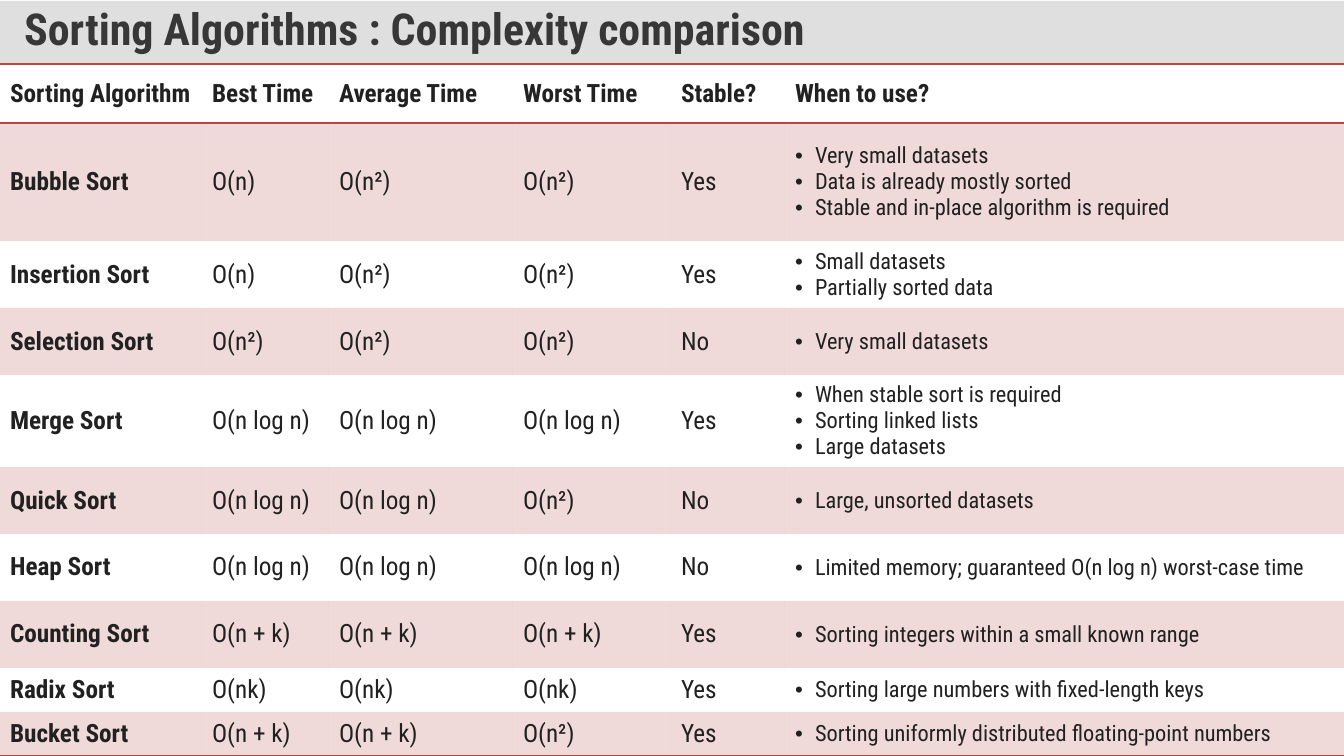
from lxml import etree
from pptx import Presentation
from pptx.dml.color import RGBColor
from pptx.enum.text import MSO_ANCHOR, MSO_AUTO_SIZE, PP_ALIGN
from pptx.oxml.ns import qn
from pptx.util import Pt

TITLE = "Sorting Algorithms : Complexity comparison"
HEADINGS = ("Sorting Algorithm", "Best Time", "Average Time", "Worst Time",
            "Stable?", "When to use?")
ALGORITHMS = [
    ("Bubble Sort", "O(n)", "O(n²)", "O(n²)", "Yes",
     ["Very small datasets", "Data is already mostly sorted",
      "Stable and in-place algorithm is required"]),
    ("Insertion Sort", "O(n)", "O(n²)", "O(n²)", "Yes",
     ["Small datasets", "Partially sorted data"]),
    ("Selection Sort", "O(n²)", "O(n²)", "O(n²)", "No",
     ["Very small datasets"]),
    ("Merge Sort", "O(n log n)", "O(n log n)", "O(n log n)", "Yes",
     ["When stable sort is required", "Sorting linked lists", "Large datasets"]),
    ("Quick Sort", "O(n log n)", "O(n log n)", "O(n²)", "No",
     ["Large, unsorted datasets"]),
    ("Heap Sort", "O(n log n)", "O(n log n)", "O(n log n)", "No",
     ["Limited memory; guaranteed O(n log n) worst-case time"]),
    ("Counting Sort", "O(n + k)", "O(n + k)", "O(n + k)", "Yes",
     ["Sorting integers within a small known range"]),
    ("Radix Sort", "O(nk)", "O(nk)", "O(nk)", "Yes",
     ["Sorting large numbers with fixed-length keys"]),
    ("Bucket Sort", "O(n + k)", "O(n + k)", "O(n²)", "Yes",
     ["Sorting uniformly distributed floating-point numbers"]),
]

SLIDE_WIDTH, SLIDE_HEIGHT = 1344, 756
TABLE_TOP = 64
COLUMN_WIDTHS = (202, 127, 184, 158, 114, 559)
ROW_HEIGHTS = (59, 118, 67, 67, 92, 67, 67, 67, 44, 44)
BULLET_INDENT = 20

FONT = "Roboto Condensed"
RED, INK, TITLE_INK, GREY = "B84742", "212121", "373737", "C0C0C0"
PLAIN_TABLE_STYLE = "{2D5ABB26-0587-4C30-8999-92F81FD0307C}"
TITLE_ONLY = 5
MIDDLE = MSO_ANCHOR.MIDDLE
LEFT = PP_ALIGN.LEFT
NO_AUTOFIT = MSO_AUTO_SIZE.NONE


def px(length):
    return round(length * 914400 / 100.8)


def color(hex_string):
    return RGBColor.from_string(hex_string)


def fill_translucent(item, hex_string, opacity, properties):
    """Fill a shape or cell; opacity is a percentage."""
    item.fill.solid()
    item.fill.fore_color.rgb = color(hex_string)
    srgb = properties.find(qn("a:solidFill")).find(qn("a:srgbClr"))
    etree.SubElement(srgb, qn("a:alpha"), val=str(opacity * 1000))


def add_border(cell_properties, side):
    line = etree.SubElement(cell_properties, qn(f"a:{side}"), w=str(Pt(1)))
    fill = etree.SubElement(line, qn("a:solidFill"))
    etree.SubElement(fill, qn("a:srgbClr"), val=RED)


def add_bullet(paragraph):
    properties = paragraph._p.get_or_add_pPr()
    properties.set("marL", str(px(BULLET_INDENT)))
    properties.set("indent", str(-px(BULLET_INDENT)))
    etree.SubElement(properties, qn("a:buFont"), typeface="Arial")
    etree.SubElement(properties, qn("a:buChar"), char="•")


def set_font(paragraph, size, hex_string, bold):
    font = paragraph.font
    font.name, font.size, font.bold = FONT, Pt(size), bold
    font.color.rgb = color(hex_string)


def add_title(slide):
    title = slide.shapes.title
    title.left, title.top = 0, px(1)
    title.width, title.height = px(SLIDE_WIDTH), px(TABLE_TOP - 1)
    fill_translucent(title, GREY, 50, title._element.spPr)
    frame = title.text_frame
    frame.text = TITLE
    frame.auto_size = NO_AUTOFIT
    frame.vertical_anchor = MIDDLE
    frame.margin_left = frame.margin_right = px(24)
    frame.margin_top, frame.margin_bottom = px(14), px(10)
    paragraph = frame.paragraphs[0]
    paragraph.alignment = LEFT
    paragraph.line_spacing = 0.7
    set_font(paragraph, 31.4, TITLE_INK, True)


def fill_cell(cell, content, row, column):
    properties = cell._tc.get_or_add_tcPr()
    if row == 0:
        add_border(properties, "lnT")
    if row in (0, len(ALGORITHMS)):
        add_border(properties, "lnB")
    if row % 2:
        fill_translucent(cell, RED, 20, properties)
    else:
        cell.fill.background()
    cell.vertical_anchor = MIDDLE

    bulleted = isinstance(content, list)
    cell.text = "\n".join(content) if bulleted else content
    for paragraph in cell.text_frame.paragraphs:
        if bulleted:
            add_bullet(paragraph)
        set_font(paragraph, 16 if bulleted else 18, INK, row == 0 or column == 0)


def add_comparison_table(slide):
    rows = [HEADINGS, *ALGORITHMS]
    table = slide.shapes.add_table(
        len(rows), len(HEADINGS), 0, px(TABLE_TOP),
        px(sum(COLUMN_WIDTHS)), px(sum(ROW_HEIGHTS))).table
    table.first_row = table.horz_banding = False
    table._tbl.tblPr.find(qn("a:tableStyleId")).text = PLAIN_TABLE_STYLE
    for column, width in zip(table.columns, COLUMN_WIDTHS):
        column.width = px(width)
    for row, height in zip(table.rows, ROW_HEIGHTS):
        row.height = px(height)
    for row, contents in enumerate(rows):
        for column, content in enumerate(contents):
            fill_cell(table.cell(row, column), content, row, column)


def main():
    presentation = Presentation()
    presentation.slide_width = px(SLIDE_WIDTH)
    presentation.slide_height = px(SLIDE_HEIGHT)
    slide = presentation.slides.add_slide(presentation.slide_layouts[TITLE_ONLY])
    add_title(slide)
    add_comparison_table(slide)
    presentation.save("out.pptx")


if __name__ == "__main__":
    main()
